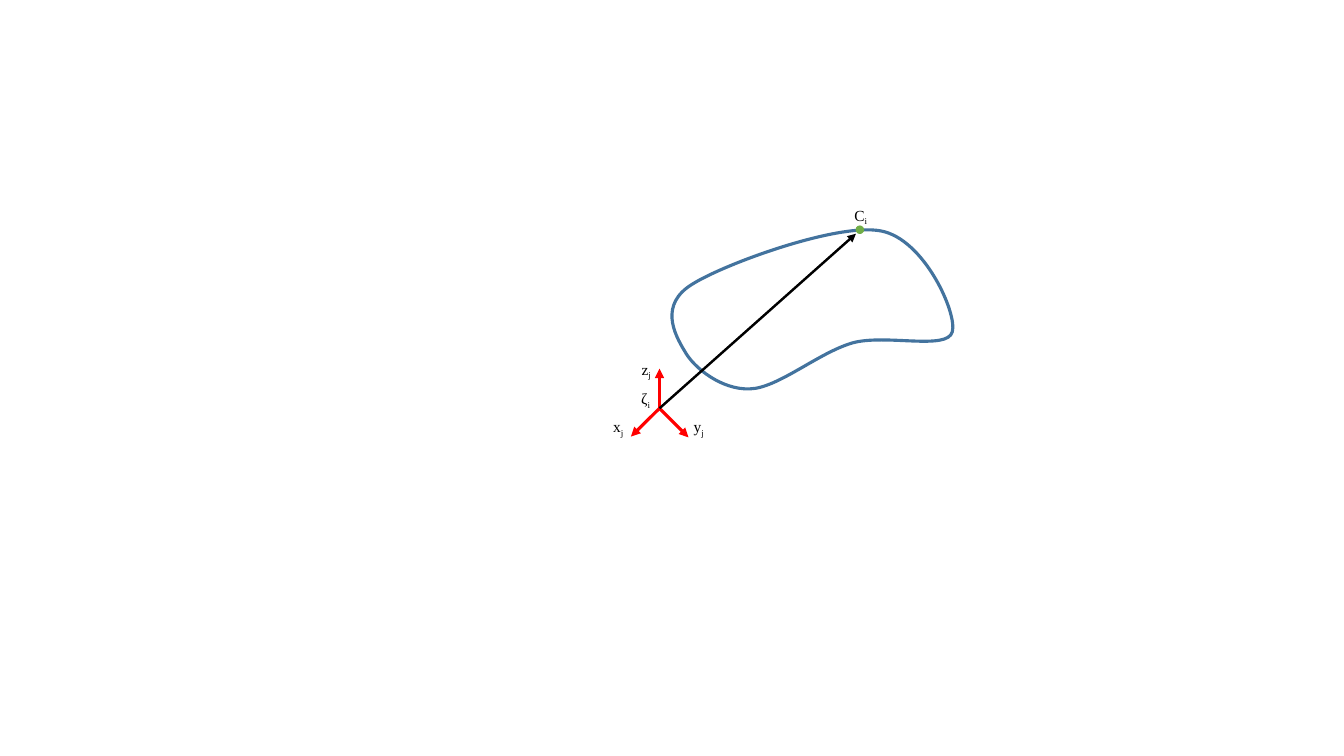
from dataclasses import dataclass

from lxml import etree
from pptx import Presentation
from pptx.dml.color import RGBColor
from pptx.enum import shapes, text
from pptx.oxml import ns
from pptx.util import Cm, Pt

BLUE = RGBColor(0x43, 0x73, 0x9E)
RED = RGBColor(0xFF, 0x00, 0x00)
GREEN = RGBColor(0x70, 0xAD, 0x47)
BLACK = RGBColor(0x00, 0x00, 0x00)
FONT = "Times New Roman"

Point = tuple[float, float]


@dataclass
class Arrow:
    tip: Point
    color: RGBColor
    weight: float


@dataclass
class Label:
    symbol: str
    index: str
    left: float
    top: float


@dataclass
class Curve:
    leave: Point
    arrive: Point
    end: Point


ORIGIN = (16.62, 10.29)
CONTACT = (21.67, 5.79)
DOT_SIZE = 0.18

BODY_LEFT, BODY_TOP = 16.94, 5.79
BODY_RIGHT, BODY_BOTTOM = 24.03, 9.8
BODY_START = (17.45, 7.16)
BODY_CURVES = [
    Curve((18.26, 6.65), (21.11, 5.61), (22.2, 5.82)),
    Curve((23.29, 6.02), (24.13, 7.9), (24.0, 8.36)),
    Curve((23.88, 8.84), (22.33, 8.41), (21.49, 8.64)),
    Curve((20.62, 8.89), (19.61, 9.78), (18.9, 9.8)),
    Curve((18.19, 9.83), (17.48, 9.27), (17.25, 8.84)),
    Curve((16.99, 8.41), (16.61, 7.67), BODY_START),
]

ARROWS = [
    Arrow((16.62, 9.29), RED, 2.25),
    Arrow((17.35, 11.02), RED, 2.25),
    Arrow((15.9, 11.0), RED, 2.25),
    Arrow((21.57, 5.89), BLACK, 1.75),
]

LABELS = [
    Label("ζ", "i", 15.91, 9.68),
    Label("C", "i", 21.28, 5.06),
    Label("z", "j", 15.92, 8.94),
    Label("y", "j", 17.23, 10.39),
    Label("x", "j", 15.2, 10.39),
]


def add_command(path, name: str, *points: Point) -> None:
    command = etree.SubElement(path, ns.qn(f"a:{name}"))
    for x, y in points:
        point = etree.SubElement(command, ns.qn("a:pt"))
        point.set("x", str(Cm(x) - Cm(BODY_LEFT)))
        point.set("y", str(Cm(y) - Cm(BODY_TOP)))


def draw_body(page) -> None:
    builder = page.shapes.build_freeform(Cm(BODY_LEFT), Cm(BODY_TOP))
    builder.add_line_segments([(Cm(BODY_RIGHT), Cm(BODY_BOTTOM))])
    body = builder.convert_to_shape()
    # Bézier segments within the frame of the outline
    path = body._element.spPr.find(f".//{ns.qn('a:path')}")
    for command in list(path):
        path.remove(command)
    add_command(path, "moveTo", BODY_START)
    for curve in BODY_CURVES:
        add_command(path, "cubicBezTo", curve.leave, curve.arrive, curve.end)
    add_command(path, "close")
    body.shadow.inherit = False
    body.fill.background()
    body.line.color.rgb = BLUE
    body.line.width = Pt(2.25)


def draw_arrow(page, arrow: Arrow) -> None:
    ends = [Cm(value) for value in ORIGIN + arrow.tip]
    line = page.shapes.add_connector(shapes.MSO_CONNECTOR.STRAIGHT, *ends)
    line.line.color.rgb = arrow.color
    line.line.width = Pt(arrow.weight)
    head = etree.SubElement(line.line._get_or_add_ln(), ns.qn("a:tailEnd"))
    head.set("type", "triangle")
    etree.SubElement(line._element.spPr, ns.qn("a:effectLst"))


def draw_contact(page) -> None:
    left, top = (Cm(value - DOT_SIZE / 2) for value in CONTACT)
    dot = page.shapes.add_shape(shapes.MSO_SHAPE.OVAL, left, top,
                                Cm(DOT_SIZE), Cm(DOT_SIZE))
    dot.shadow.inherit = False
    dot.fill.solid()
    dot.fill.fore_color.rgb = GREEN
    dot.line.color.rgb = GREEN
    dot.line.width = Pt(1)


def draw_label(page, label: Label) -> None:
    box = page.shapes.add_textbox(Cm(label.left), Cm(label.top), Cm(0.86), Cm(0.74))
    frame = box.text_frame
    frame.word_wrap = True
    frame.auto_size = text.MSO_AUTO_SIZE.SHAPE_TO_FIT_TEXT
    para = frame.paragraphs[0]
    for content in (label.symbol, label.index):
        span = para.add_run()
        span.text = content
        span.font.name = FONT
        span.font.size = Pt(11)
        span.font.color.rgb = BLACK
    # The last run is the subscript index
    span.font._element.set("baseline", "-25000")


deck = Presentation()
deck.slide_width, deck.slide_height = Cm(33.87), Cm(19.05)
page = deck.slides.add_slide(deck.slide_layouts[6])

# Body outline
draw_body(page)

# Coordinate axes and position vector
for arrow in ARROWS:
    draw_arrow(page, arrow)

# Contact point
draw_contact(page)

# Symbols with subscripts
for label in LABELS:
    draw_label(page, label)

deck.save("out.pptx")
